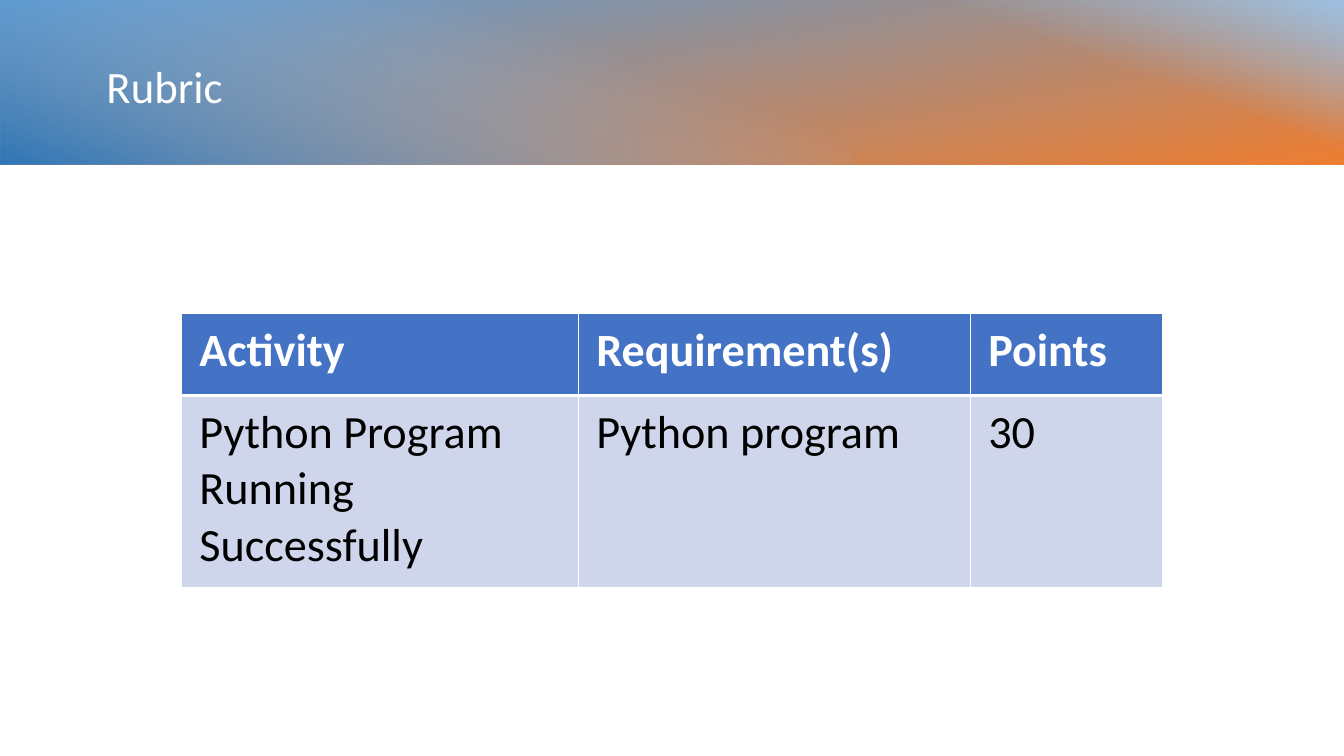
import lxml.etree
import pptx
import pptx.dml.color
import pptx.enum.text
import pptx.oxml
import pptx.oxml.ns
import pptx.util
from pptx.enum.shapes import MSO_SHAPE

Pt = pptx.util.Pt
FONT = "Calibri"
COLORS = {
    "white": "FFFFFF",
    "black": "000000",
    "blue": "5B9BD5",
    "orange": "ED7D31",
    "light_blue": "9DC3E6",
    "dark_blue": "2E75B6",
    "header": "4472C4",
    "body": "CFD5EA",
}
BAND_TOP, BAND_HEIGHT = -2, 119.5
COLUMN_WIDTHS = [283.5, 280, 137.5]
ROW_HEIGHTS = [58.5, 137.5]
RUBRIC = [
    ["Activity", "Requirement(s)", "Points"],
    ["Python Program Running Successfully", "Python program", "30"],
]


def rgb(name):
    return pptx.dml.color.RGBColor.from_string(COLORS[name])


def add_element(parent, tag, **attributes):
    element = lxml.etree.SubElement(parent, pptx.oxml.ns.qn(tag))
    for name, value in attributes.items():
        element.set(name, str(value))
    return element


def add_run(paragraph, text, size, color, bold=False):
    run = paragraph.add_run()
    run.text = text
    run.font.name = FONT
    run.font.size = Pt(size)
    run.font.bold = bold
    run.font.color.rgb = rgb(color)


def add_gradient_band(slide, left, width, rotation, angle, stops):
    """Add a quarter-turned rectangle; stops are (position, color, opacity) in percent."""
    center_x = left + width / 2
    center_y = BAND_TOP + BAND_HEIGHT / 2
    shape = slide.shapes.add_shape(
        MSO_SHAPE.RECTANGLE,
        Pt(center_x - BAND_HEIGHT / 2), Pt(center_y - width / 2),
        Pt(BAND_HEIGHT), Pt(width),
    )
    shape.rotation = rotation
    shape.shadow.inherit = False
    shape.line.fill.background()
    shape.fill.gradient()
    gradient = shape.element.spPr.find(pptx.oxml.ns.qn("a:gradFill"))
    gradient.set("rotWithShape", "1")
    for child in list(gradient):
        gradient.remove(child)
    stop_list = add_element(gradient, "a:gsLst")
    for position, color, opacity in stops:
        stop = add_element(stop_list, "a:gs", pos=position * 1000)
        stop_color = add_element(stop, "a:srgbClr", val=COLORS[color])
        if opacity < 100:
            add_element(stop_color, "a:alpha", val=opacity * 1000)
    add_element(gradient, "a:lin", ang=angle * 60000, scaled=0)


def add_title(slide, text):
    box = slide.shapes.add_textbox(Pt(69), Pt(24), Pt(825), Pt(79))
    frame = box.text_frame
    frame.word_wrap = True
    frame.vertical_anchor = pptx.enum.text.MSO_ANCHOR.MIDDLE
    paragraph = frame.paragraphs[0]
    paragraph.line_spacing = 0.9
    add_run(paragraph, text, 32, "white")


def set_borders(cell, widths):
    """Draw white borders, with widths for left, right, top and bottom."""
    properties = cell._tc.get_or_add_tcPr()
    for index, (side, width) in enumerate(zip("LRTB", widths)):
        line = pptx.oxml.parse_xml(
            f'<a:ln{side} {pptx.oxml.ns.nsdecls("a")} w="{Pt(width)}"><a:solidFill>'
            f'<a:srgbClr val="{COLORS["white"]}"/></a:solidFill></a:ln{side}>'
        )
        properties.insert(index, line)


def fill_cell(cell, text, is_header):
    cell.margin_left = cell.margin_right = Pt(13)
    cell.margin_top = cell.margin_bottom = Pt(6.5)
    cell.fill.solid()
    cell.fill.fore_color.rgb = rgb("header" if is_header else "body")
    set_borders(cell, (1, 1, 1, 3) if is_header else (1, 1, 3, 1))
    color = "white" if is_header else "black"
    add_run(cell.text_frame.paragraphs[0], text, 33, color, is_header)


def add_rubric_table(slide):
    table = slide.shapes.add_table(
        len(RUBRIC), len(COLUMN_WIDTHS), Pt(129.5), Pt(224),
        Pt(sum(COLUMN_WIDTHS)), Pt(sum(ROW_HEIGHTS)),
    ).table
    for column, width in zip(table.columns, COLUMN_WIDTHS):
        column.width = Pt(width)
    for row_index, (row, height) in enumerate(zip(table.rows, ROW_HEIGHTS)):
        row.height = Pt(height)
        for cell, text in zip(row.cells, RUBRIC[row_index]):
            fill_cell(cell, text, row_index == 0)


def main():
    presentation = pptx.Presentation()
    presentation.slide_width = Pt(960)
    presentation.slide_height = Pt(540)
    slide = presentation.slides.add_slide(presentation.slide_layouts[6])
    add_gradient_band(slide, 0, 960, 270, 170,
                      [(0, "blue", 100), (100, "orange", 100)])
    add_gradient_band(slide, 561, 399, 270, 20,
                      [(59, "light_blue", 0), (100, "light_blue", 100)])
    add_gradient_band(slide, 0, 608, 90, 20,
                      [(29, "light_blue", 0), (100, "dark_blue", 100)])
    add_title(slide, "Rubric")
    add_rubric_table(slide)
    presentation.save("out.pptx")


if __name__ == "__main__":
    main()
